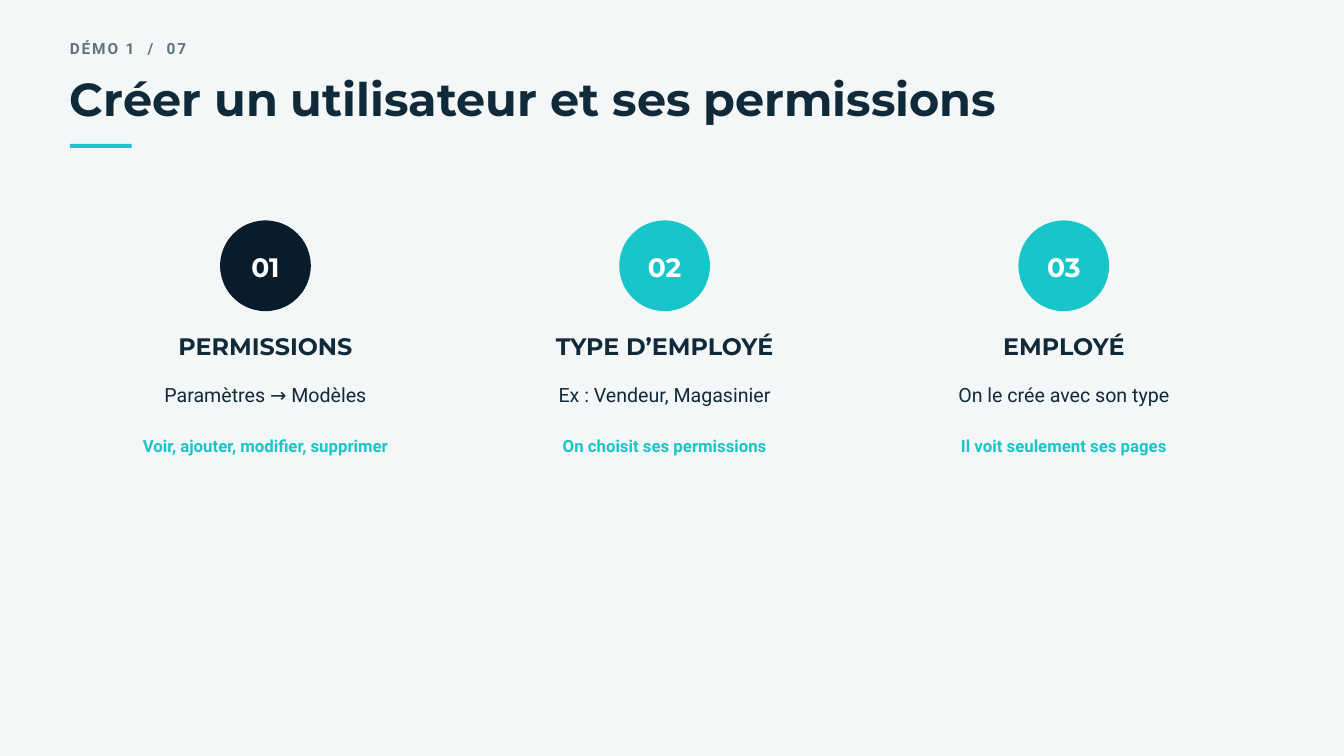
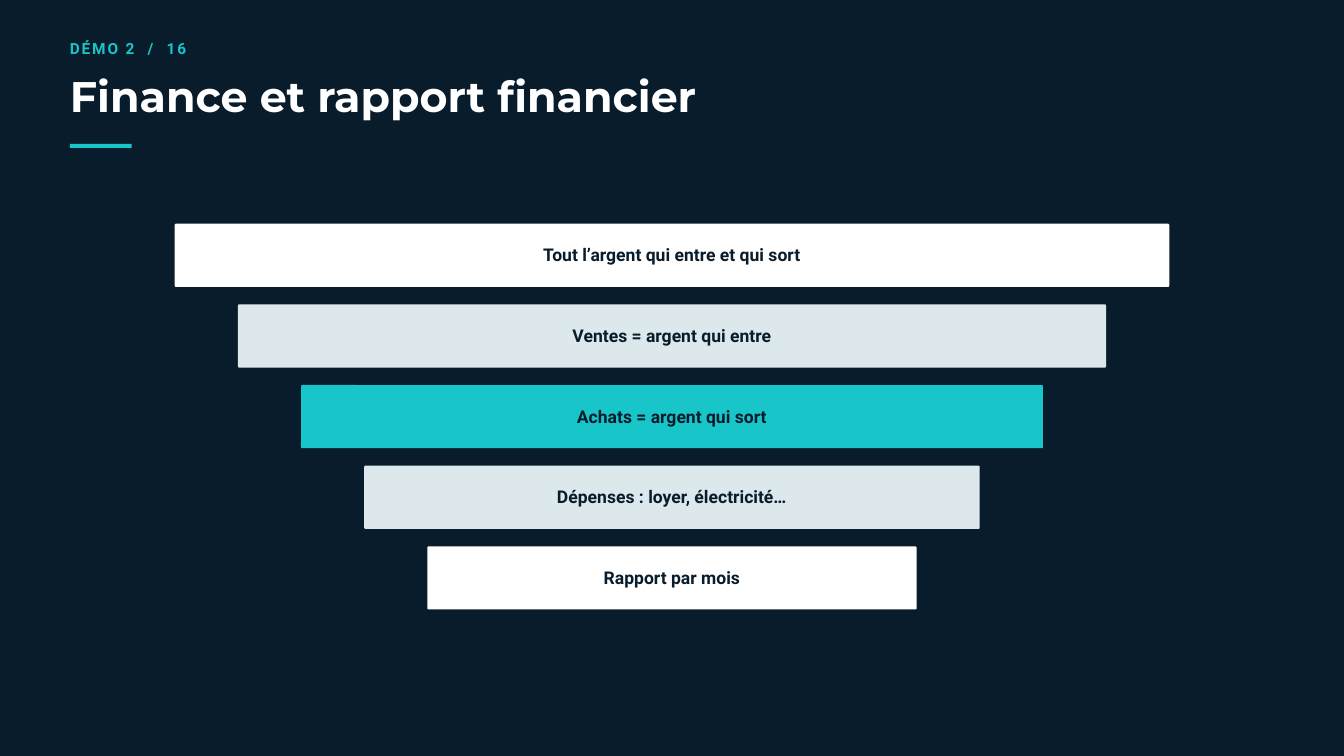
from dataclasses import dataclass
from typing import NamedTuple

from pptx import Presentation, util as u
from pptx.dml.color import RGBColor
from pptx.enum import shapes, text
from pptx.util import Inches


class TextStyle(NamedTuple):
    font: str
    size: float
    line: float
    bold: bool = True
    tracking: float = 0


@dataclass(frozen=True)
class Theme:
    paper: str = "F4F7F8"
    night: str = "081C2C"
    ink: str = "102A3A"
    slate: str = "5F7480"
    teal: str = "18C5C8"
    mist: str = "DCE8EC"
    white: str = "FFFFFF"
    kicker: TextStyle = TextStyle("Roboto", 16.5, 23.1, tracking=2)
    title: TextStyle = TextStyle("Montserrat", 49.5, 52)
    title_dark: TextStyle = TextStyle("Montserrat", 45.8, 48)
    number: TextStyle = TextStyle("Montserrat", 28.5, 39.9)
    step: TextStyle = TextStyle("Montserrat", 25.5, 35.7)
    detail: TextStyle = TextStyle("Roboto", 21, 28.4, bold=False)
    note: TextStyle = TextStyle("Roboto", 18, 25.2)
    bar: TextStyle = TextStyle("Roboto", 18.8, 21.6)


class Box(NamedTuple):
    left: float
    top: float
    width: float
    height: float

    def lengths(self) -> list[int]:
        return [Inches(v) for v in self]


class Header(NamedTuple):
    kicker: str
    kicker_color: str
    title: str
    title_color: str
    title_style: TextStyle
    title_top: float
    title_height: float
    background: str


class Step(NamedTuple):
    number: str
    fill: str
    name: str
    detail: str
    note: str


class Bar(NamedTuple):
    label: str
    fill: str


T = Theme()
SLIDE_W, SLIDE_H = 20, 11.25
MARGIN = 1.04
LEFT, CENTER = text.PP_ALIGN.LEFT, text.PP_ALIGN.CENTER

STEP_LEFT, STEP_PITCH, STEP_W = 1.66, 5.94, 4.58
CIRCLE_TOP, CIRCLE_D = 3.28, 1.35
BAR_LEFT, BAR_INDENT = 2.6, 0.94
BAR_TOP, BAR_PITCH, BAR_H = 3.33, 1.2, 0.94

STEPS_HEADER = Header("DÉMO 1  /  07", T.slate, "Créer un utilisateur et ses permissions",
                      T.ink, T.title, 1.15, 0.76, T.paper)
STEPS = [
    Step("01", T.night, "PERMISSIONS", "Paramètres → Modèles",
         "Voir, ajouter, modifier, supprimer"),
    Step("02", T.teal, "TYPE D’EMPLOYÉ", "Ex : Vendeur, Magasinier",
         "On choisit ses permissions"),
    Step("03", T.teal, "EMPLOYÉ", "On le crée avec son type",
         "Il voit seulement ses pages"),
]
FUNNEL_HEADER = Header("DÉMO 2  /  16", T.teal, "Finance et rapport financier",
                       T.white, T.title_dark, 1.14, 0.71, T.night)
BARS = [
    Bar("Tout l’argent qui entre et qui sort", T.white),
    Bar("Ventes = argent qui entre", T.mist),
    Bar("Achats = argent qui sort", T.teal),
    Bar("Dépenses : loyer, électricité…", T.mist),
    Bar("Rapport par mois", T.white),
]


def write(tf, content: str, style: TextStyle, color: str, align=CENTER,
          inset: float = 0, bottom: float = 0) -> None:
    tf.word_wrap = True
    tf.margin_left = tf.margin_right = tf.margin_top = Inches(inset)
    tf.margin_bottom = Inches(bottom)
    tf.text = content
    p = tf.paragraphs[0]
    p.alignment = align
    p.line_spacing = u.Pt(style.line)
    r = p.runs[0]
    r.font.name, r.font.size, r.font.bold = style.font, u.Pt(style.size), style.bold
    r.font.color.rgb = RGBColor.from_string(color)
    if style.tracking:
        r.font._element.set("spc", str(int(style.tracking * 100)))


def add_text(s, box: Box, content: str, style: TextStyle, color: str, align=CENTER) -> None:
    tf = s.shapes.add_textbox(*box.lengths()).text_frame
    write(tf, content, style, color, align)
    tf.auto_size = text.MSO_AUTO_SIZE.SHAPE_TO_FIT_TEXT


def add_block(s, kind, box: Box, fill: str):
    sp = s.shapes.add_shape(kind, *box.lengths())
    sp.shadow.inherit = False
    sp.fill.solid()
    sp.fill.fore_color.rgb = RGBColor.from_string(fill)
    sp.line.fill.background()
    sp.text_frame.vertical_anchor = text.MSO_ANCHOR.MIDDLE
    return sp


def add_slide(prs, h: Header):
    """Add a slide with its background, kicker, title and accent rule."""
    s = prs.slides.add_slide(prs.slide_layouts[6])
    s.background.fill.solid()
    s.background.fill.fore_color.rgb = RGBColor.from_string(h.background)
    add_text(s, Box(MARGIN, 0.54, 5.21, 0.29), h.kicker, T.kicker, h.kicker_color, LEFT)
    add_text(s, Box(MARGIN, h.title_top, 15.62, h.title_height), h.title,
             h.title_style, h.title_color, LEFT)
    add_block(s, shapes.MSO_SHAPE.RECTANGLE, Box(MARGIN, 2.14, 0.92, 0.06), T.teal)
    return s


def add_step(s, index: int, step: Step) -> None:
    left = STEP_LEFT + index * STEP_PITCH
    circle = Box(left + (STEP_W - CIRCLE_D) / 2, CIRCLE_TOP, CIRCLE_D, CIRCLE_D)
    sp = add_block(s, shapes.MSO_SHAPE.OVAL, circle, step.fill)
    write(sp.text_frame, step.number, T.number, T.white, inset=0.06, bottom=0.1)
    add_text(s, Box(left, 4.86, STEP_W, 0.46), step.name, T.step, T.ink)
    add_text(s, Box(left, 5.65, STEP_W, 0.37), step.detail, T.detail, T.ink)
    add_text(s, Box(left, 6.43, STEP_W, 0.33), step.note, T.note, T.teal)


def add_bar(s, index: int, bar: Bar) -> None:
    left = BAR_LEFT + index * BAR_INDENT
    box = Box(left, BAR_TOP + index * BAR_PITCH, SLIDE_W - 2 * left, BAR_H)
    sp = add_block(s, shapes.MSO_SHAPE.ROUNDED_RECTANGLE, box, bar.fill)
    sp.adjustments[0] = 0.02
    write(sp.text_frame, bar.label, T.bar, T.night, inset=0.06, bottom=0.06)


def main() -> None:
    prs = Presentation()
    prs.slide_width, prs.slide_height = Inches(SLIDE_W), Inches(SLIDE_H)
    s = add_slide(prs, STEPS_HEADER)
    for i, step in enumerate(STEPS):
        add_step(s, i, step)
    s = add_slide(prs, FUNNEL_HEADER)
    for i, bar in enumerate(BARS):
        add_bar(s, i, bar)
    prs.save("out.pptx")


if __name__ == "__main__":
    main()
